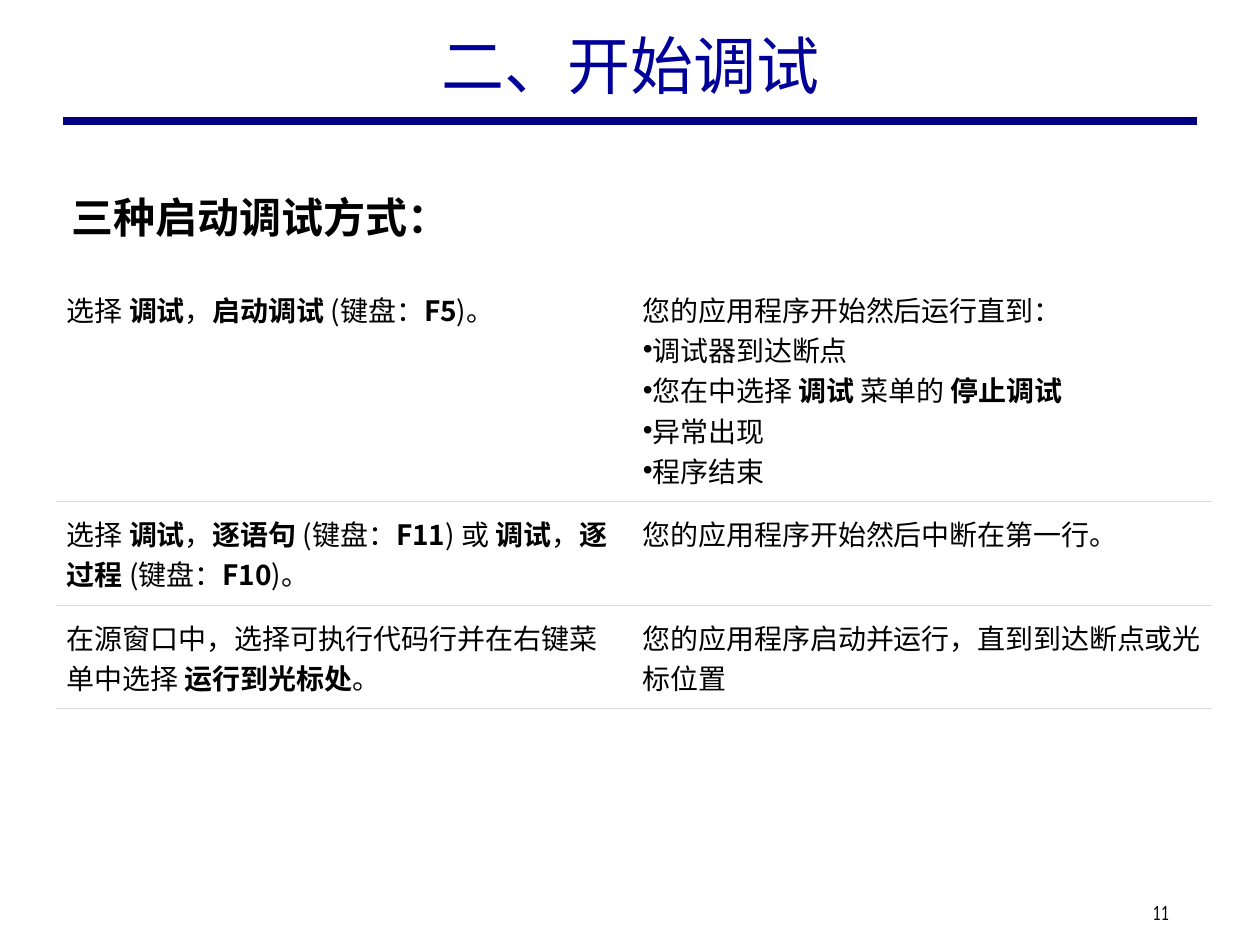
import lxml.etree
import pptx
import pptx.dml.color
import pptx.enum.shapes
import pptx.enum.text
import pptx.oxml.ns
import pptx.util
from pptx.util import Cm

COLORS = {"title": "000099", "rule": "000080", "text": "000000",
          "border": "DBDBDB", "cell": "FFFFFF"}
CJK = "Noto Sans CJK SC"
qn = pptx.oxml.ns.qn
rgb = pptx.dml.color.RGBColor.from_string


def set_font(font, name, size=None, color=None, bold=None):
    """Format a font, with one East Asian typeface throughout."""
    if size:
        font.size = pptx.util.Pt(size)
    if color:
        font.color.rgb = rgb(COLORS[color])
    font.bold = bold
    font.name = name
    lxml.etree.SubElement(font._element, qn("a:ea"), typeface=CJK)


def add_border(cell, side, visible):
    line = lxml.etree.SubElement(cell._tc.get_or_add_tcPr(), qn(f"a:ln{side}"), w="9525")
    if visible:
        fill = lxml.etree.SubElement(line, qn("a:solidFill"))
        lxml.etree.SubElement(fill, qn("a:srgbClr"), val=COLORS["border"])
    else:
        lxml.etree.SubElement(line, qn("a:noFill"))


presentation = pptx.Presentation()
presentation.slide_width = Cm(25.4)
presentation.slide_height = Cm(19.05)
slide = presentation.slides.add_slide(presentation.slide_layouts[5])

# Title and the rule below it
title = slide.shapes.title
title.left, title.top, title.width, title.height = Cm(1.9), Cm(0.2), Cm(21.6), Cm(2.18)
title.text_frame.text = "二、开始调试"
title.text_frame.vertical_anchor = pptx.enum.text.MSO_ANCHOR.MIDDLE
title_line = title.text_frame.paragraphs[0]
title_line.alignment = pptx.enum.text.PP_ALIGN.CENTER
set_font(title_line.font, "Noto Sans Mono", 36, "title")

rule = slide.shapes.add_connector(
    pptx.enum.shapes.MSO_CONNECTOR.STRAIGHT, Cm(1.27), Cm(2.44), Cm(24.13), Cm(2.44))
rule.line.color.rgb = rgb(COLORS["rule"])
rule.line.width = pptx.util.Pt(4.5)
lxml.etree.SubElement(rule._element.spPr, qn("a:effectLst"))

# Ways to start debugging; ** switches bold on and off, • starts a list item
ways = [
    ["选择 **调试**，**启动调试 **(键盘：**F5**)。",
     "您的应用程序开始然后运行直到：\n•调试器到达断点\n"
     "•您在中选择 **调试** 菜单的 **停止调试**\n•异常出现\n•程序结束"],
    ["选择 **调试**，**逐语句 **(键盘：**F11**) 或 **调试**，**逐过程 **(键盘：**F10**)。",
     "您的应用程序开始然后中断在第一行。"],
    ["在源窗口中，选择可执行代码行并在右键菜单中选择 **运行到光标处**。",
     "您的应用程序启动并运行，直到到达断点或光标位置"],
]
table = slide.shapes.add_table(3, 2, Cm(1.12), Cm(5.59), Cm(23.32), Cm(7.52)).table
table.first_row = False
table.horz_banding = False
for column in table.columns:
    column.width = Cm(11.66)
for row, height in zip(table.rows, (3.86, 1.83, 1.83)):
    row.height = Cm(height)

for row_index, way in enumerate(ways):
    for column_index, content in enumerate(way):
        cell = table.cell(row_index, column_index)
        cell.margin_left = Cm(0.18 if column_index else 0.23)
        cell.margin_right = Cm(0.18)
        cell.margin_top = cell.margin_bottom = Cm(0.23)
        for side, visible in (("L", False), ("R", False), ("T", row_index > 0), ("B", True)):
            add_border(cell, side, visible)
        cell.fill.solid()
        cell.fill.fore_color.rgb = rgb(COLORS["cell"])
        for line_index, line in enumerate(content.split("\n")):
            frame = cell.text_frame
            paragraph = frame.add_paragraph() if line_index else frame.paragraphs[0]
            if line.startswith("•"):
                properties = paragraph._p.get_or_add_pPr()
                lxml.etree.SubElement(properties, qn("a:buFont"), typeface="Arial")
                lxml.etree.SubElement(properties, qn("a:buChar"), char="•")
            set_font(paragraph.font, CJK, 16, "text")
            for part_index, part in enumerate(line.lstrip("•").split("**")):
                if not part:
                    continue
                run = paragraph.add_run()
                run.text = part
                bold = part_index % 2 == 1
                is_key = part.startswith("F")
                set_font(run.font, "Roboto" if bold and not is_key else CJK, bold=bold)

# Heading above the table, and the page number
heading = slide.shapes.add_textbox(Cm(1.19), Cm(3.73), Cm(13.97), Cm(1.27)).text_frame
heading.word_wrap = True
heading.text = "三种启动调试方式："
set_font(heading.paragraphs[0].font, "Arial", 24, "text", True)

page_number = slide.shapes.add_textbox(Cm(23.11), Cm(18.01), Cm(1.19), Cm(0.76)).text_frame
page_number.word_wrap = True
page_number.vertical_anchor = pptx.enum.text.MSO_ANCHOR.MIDDLE
page_number.margin_left = page_number.margin_right = Cm(0.13)
page_number.margin_top = page_number.margin_bottom = Cm(0.13)
page_number.text = "11"
set_font(page_number.paragraphs[0].font, "Comic Neue", 12, "text")

presentation.save("out.pptx")
